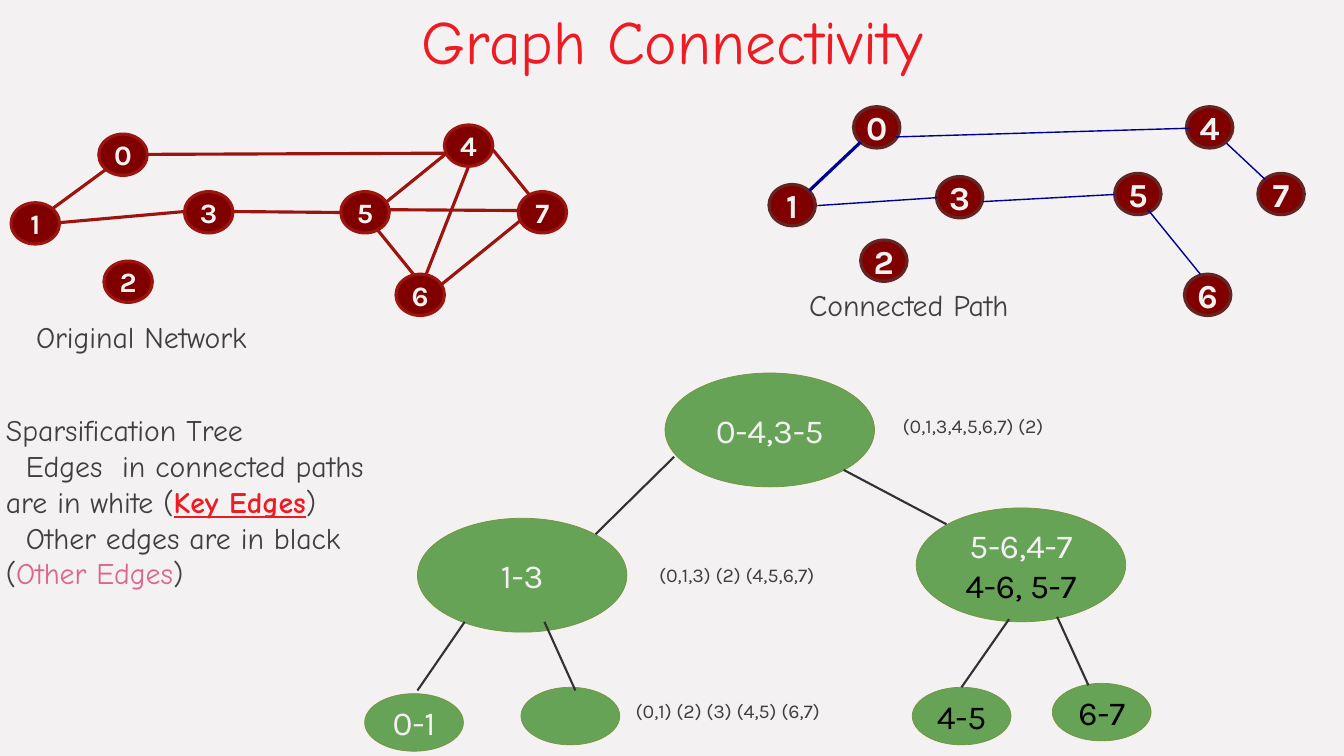
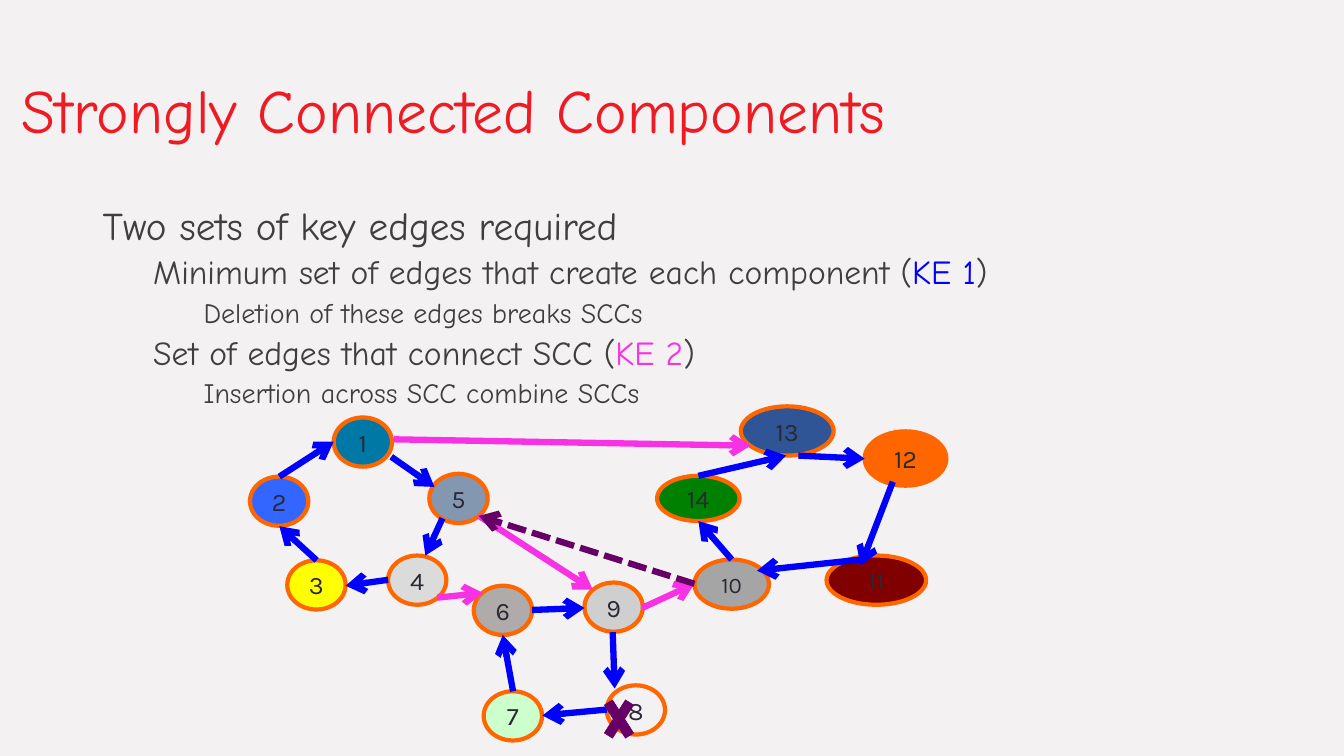
import dataclasses
import typing

import lxml.etree
import pptx
import pptx.dml.color
import pptx.enum.dml
import pptx.enum.shapes
import pptx.enum.text
import pptx.oxml.ns
import pptx.util

Cm = pptx.util.Cm
Pt = pptx.util.Pt
RGB = pptx.dml.color.RGBColor
Kind = pptx.enum.shapes.MSO_SHAPE
Align = pptx.enum.text.PP_ALIGN
Anchor = pptx.enum.text.MSO_ANCHOR
Dash = pptx.enum.dml.MSO_LINE

PAPER = RGB(0xF3, 0xF1, 0xF1)
RED = RGB(0xED, 0x1C, 0x24)
GRAY = RGB(0x3F, 0x3F, 0x3F)
ROSE = RGB(0xDB, 0x65, 0x8D)
MAROON = RGB(0x80, 0x00, 0x00)
BROWN = RGB(0x63, 0x25, 0x23)
BRICK = RGB(0x9B, 0x14, 0x0D)
NAVY = RGB(0x00, 0x00, 0x90)
GREEN = RGB(0x66, 0xA3, 0x56)
OLIVE = RGB(0x77, 0x93, 0x3C)
COAL = RGB(0x32, 0x32, 0x32)
BLACK = RGB(0x00, 0x00, 0x00)
INK = RGB(0x29, 0x29, 0x34)
BLUE = RGB(0x00, 0x00, 0xFF)
PINK = RGB(0xF7, 0x31, 0xE4)
PURPLE = RGB(0x66, 0x00, 0x66)
ORANGE = RGB(0xFF, 0x66, 0x00)
TEAL = RGB(0x00, 0x78, 0xA5)
AZURE = RGB(0x33, 0x66, 0xFF)
YELLOW = RGB(0xFF, 0xFF, 0x00)
SILVER = RGB(0xDB, 0xDB, 0xDB)
STEEL = RGB(0x84, 0x97, 0xB0)
STONE = RGB(0xAF, 0xAB, 0xAB)
PEARL = RGB(0xCF, 0xCF, 0xCF)
MINT = RGB(0xCC, 0xFF, 0xCC)
DENIM = RGB(0x2F, 0x55, 0x97)
FOREST = RGB(0x00, 0x80, 0x00)
ASH = RGB(0xA5, 0xA5, 0xA5)

HAND = "Comic Neue"
SANS = "Karla"


@dataclasses.dataclass(frozen=True)
class Run:
    text: str
    color: RGB = GRAY
    form: dict[str, typing.Any] = dataclasses.field(default_factory=dict)


@dataclasses.dataclass(frozen=True)
class Para:
    runs: list[Run]
    size: float
    font: str = HAND
    left: float = 0
    first: float = 0
    form: dict[str, typing.Any] = dataclasses.field(default_factory=dict)


@dataclasses.dataclass(frozen=True)
class Box:
    left: float
    top: float
    width: float
    height: float

    def sides(self) -> list[int]:
        return [Cm(side) for side in dataclasses.astuple(self)]


@dataclasses.dataclass(frozen=True)
class Node:
    lines: list[Run]
    box: Box
    fill: RGB | None
    edge: RGB
    weight: float
    size: float = 18


@dataclasses.dataclass(frozen=True)
class Line:
    ends: tuple[float, float, float, float]
    color: RGB
    weight: float
    arrow: bool = False
    dash: typing.Any = None


def apply(item: typing.Any, form: dict[str, typing.Any]) -> None:
    for name, value in form.items():
        setattr(item, name, value)


def write(frame: typing.Any, paras: list[Para]) -> None:
    for spot, para in enumerate(paras):
        line = frame.paragraphs[0] if spot == 0 else frame.add_paragraph()
        apply(line, para.form)
        if para.left or para.first:
            props = line._p.get_or_add_pPr()
            props.set("marL", str(Cm(para.left)))
            props.set("indent", str(Cm(para.first)))
        for part in para.runs:
            run = line.add_run()
            run.text = part.text
            apply(run.font, {"size": Pt(para.size), "name": para.font, **part.form})
            run.font.color.rgb = part.color


def add_text(slide: typing.Any, box: Box, paras: list[Para],
             anchor: typing.Any = Anchor.TOP) -> None:
    frame = slide.shapes.add_textbox(*box.sides()).text_frame
    apply(frame, {"word_wrap": True, "vertical_anchor": anchor})
    write(frame, paras)


def add_title(slide: typing.Any, text: str, box: Box, align: typing.Any) -> None:
    form = {"alignment": align, "line_spacing": 0.9}
    add_text(slide, box, [Para([Run(text, RED)], 44, form=form)], Anchor.MIDDLE)


def add_form(slide: typing.Any, kind: typing.Any, box: Box, fill: RGB | None,
             edge: RGB, weight: float) -> typing.Any:
    shape = slide.shapes.add_shape(kind, *box.sides())
    shape.shadow.inherit = False
    if fill is None:
        shape.fill.background()
    else:
        shape.fill.solid()
        shape.fill.fore_color.rgb = fill
    shape.line.color.rgb = edge
    shape.line.width = Pt(weight)
    return shape


def add_node(slide: typing.Any, node: Node) -> None:
    shape = add_form(slide, Kind.OVAL, node.box, node.fill, node.edge, node.weight)
    frame = shape.text_frame
    apply(frame, {
        "word_wrap": False, "vertical_anchor": Anchor.MIDDLE,
        "margin_left": 0, "margin_right": 0, "margin_top": 0, "margin_bottom": 0,
    })
    form = {"alignment": Align.CENTER}
    write(frame, [Para([run], node.size, SANS, form=form) for run in node.lines])


def add_line(slide: typing.Any, line: Line) -> None:
    wire = slide.shapes.add_connector(
        pptx.enum.shapes.MSO_CONNECTOR.STRAIGHT, *[Cm(end) for end in line.ends])
    wire.line.color.rgb = line.color
    wire.line.width = Pt(line.weight)
    if line.dash is not None:
        wire.line.dash_style = line.dash
    qn = pptx.oxml.ns.qn
    if line.arrow:
        lxml.etree.SubElement(wire.line._get_or_add_ln(), qn("a:tailEnd"), type="arrow")
    lxml.etree.SubElement(wire._element.spPr, qn("a:effectLst"))


def add_graph(slide: typing.Any, spots: list[tuple[float, float]], width: float,
              edge: RGB, size: float) -> None:
    for mark, (left, top) in enumerate(spots):
        label = Run(str(mark), PAPER, {"bold": True})
        add_node(slide, Node([label], Box(left, top, width, 1.04), MAROON, edge, 2.25, size))


def new_slide(deck: typing.Any) -> typing.Any:
    slide = deck.slides.add_slide(deck.slide_layouts[6])
    slide.background.fill.solid()
    slide.background.fill.fore_color.rgb = PAPER
    return slide


def draw_paths(slide: typing.Any) -> None:
    add_title(slide, "Graph Connectivity", Box(1.17, 0, 31.55, 2.26), Align.CENTER)

    add_graph(slide, [
        (21.51, 2.69), (19.38, 4.65), (21.69, 6.05), (23.6, 4.45),
        (29.9, 2.69), (28.09, 4.37), (29.85, 6.91), (31.7, 4.37),
    ], 1.17, BROWN, 24)
    add_line(slide, Line((21.69, 3.58, 20.4, 4.8), NAVY, 2.25))
    for ends in [
        (22.58, 3.45, 30, 3.23), (20.6, 5.18, 23.62, 4.98), (24.77, 5.08, 28.09, 4.9),
        (28.91, 5.26, 30.25, 6.91), (30.91, 3.61, 31.88, 4.52),
    ]:
        add_line(slide, Line(ends, NAVY, 1))

    ring = add_form(slide, Kind.RECTANGLE, Box(9.65, 4.09, 3.53, 2.49), None, BRICK, 2.25)
    ring.rotation = 321
    for ends in [
        (9.19, 5.28, 13.67, 5.31), (5.87, 5.33, 9.19, 5.36), (11.81, 4.19, 10.74, 6.91),
        (3.71, 3.89, 11.2, 3.86), (2.67, 4.27, 1.32, 5.26), (1.5, 5.61, 4.65, 5.33),
    ]:
        add_line(slide, Line(ends, BRICK, 2.25))
    add_graph(slide, [
        (2.49, 3.38), (0.28, 5.11), (2.62, 6.58), (4.65, 4.83),
        (11.2, 3.15), (8.59, 4.83), (9.98, 6.91), (13.06, 4.83),
    ], 1.22, BRICK, 20)

    big, small = (5.28, 2.87), (2.49, 1.45)
    for runs, left, top, size in [
        ([Run("0-4,3-5", PAPER)], 16.76, 9.4, big),
        ([Run("1-3", PAPER)], 10.52, 13.06, big),
        ([Run("5-6,4-7", PAPER), Run("4-6, 5-7", BLACK)], 23.09, 12.8, big),
        ([Run("0-1", PAPER)], 9.19, 17.48, small),
        ([], 13.13, 17.32, small),
        ([Run("4-5", BLACK)], 22.99, 17.32, small),
        ([Run("6-7", BLACK)], 26.52, 17.22, small),
    ]:
        add_node(slide, Node(runs, Box(left, top, *size), GREEN, OLIVE, 0.5, 24))
    for ends in [
        (16.99, 11.51, 15.01, 13.46), (21.26, 11.84, 23.85, 13.21),
        (11.71, 15.67, 10.52, 17.4), (13.72, 15.67, 14.5, 17.4),
        (25.43, 15.6, 24.23, 17.32), (26.64, 15.54, 27.43, 17.27),
    ]:
        add_line(slide, Line(ends, COAL, 1.5))

    for text, left, top in [("Original Network", 0.66, 7.9), ("Connected Path", 20.14, 7.09)]:
        add_text(slide, Box(left, top, 8.94, 1.17), [Para([Run(text)], 21.3)])
    for text, left, top in [
        ("(0,1,3,4,5,6,7) (2)", 22.5, 10.31),
        ("(0,1,3) (2) (4,5,6,7)", 16.36, 14.05),
        ("(0,1) (2) (3) (4,5) (6,7)", 15.77, 17.48),
    ]:
        add_text(slide, Box(left, top, 7.2, 0.86), [Para([Run(text)], 14, SANS)])
    key = Run("Key Edges", RED, {"bold": True, "underline": True})
    add_text(slide, Box(-0.1, 10.26, 10.46, 4.83), [
        Para([Run("Sparsification Tree")], 21.3),
        Para([Run("Edges  in connected paths are in white ("), key, Run(")")], 21.3, first=0.5),
        Para([Run("Other edges are in black ("), Run("Other Edges", ROSE), Run(")")],
             21.3, first=0.5),
    ])


def draw_parts(slide: typing.Any) -> None:
    add_title(slide, "Strongly Connected Components", Box(0.3, 1.02, 31.24, 3.68), Align.LEFT)
    tight = {"line_spacing": 0.9}
    loose = {**tight, "space_before": Pt(5)}
    paras = [Para([Run("Two sets of key edges required")], 28, form=tight)]
    for lead, key, color, note in [
        ("Minimum set of edges that create each component (", "KE 1", BLUE,
         "Deletion of these edges breaks SCCs"),
        ("Set of edges that connect SCC (", "KE 2", PINK, "Insertion across SCC combine SCCs"),
    ]:
        paras.append(Para([Run(lead), Run(key, color), Run(")")], 24, left=1.27, form=loose))
        paras.append(Para([Run(note)], 20, left=2.54, form=loose))
    add_text(slide, Box(2.34, 5.08, 29.21, 12.09), paras)

    disc = (1.47, 1.24)
    for mark, left, top, size, fill in [
        (1, 8.41, 10.52, disc, TEAL), (2, 6.3, 12.01, disc, AZURE),
        (3, 7.24, 14.12, disc, YELLOW), (4, 9.78, 14, disc, SILVER),
        (5, 10.82, 11.94, disc, STEEL), (6, 11.94, 14.76, disc, STONE),
        (7, 12.19, 17.42, disc, MINT), (8, 15.29, 17.27, disc, None),
        (9, 14.73, 14.68, disc, PEARL), (10, 17.5, 14.1, (1.88, 1.24), ASH),
        (11, 20.83, 14, (2.51, 1.24), MAROON), (12, 21.79, 10.87, (2.06, 1.37), ORANGE),
        (13, 18.67, 10.24, (2.34, 1.24), DENIM), (14, 16.56, 11.99, (2.08, 1.14), FOREST),
    ]:
        points = 16 if mark == 10 else 18
        add_node(slide, Node([Run(str(mark), INK)], Box(left, top, *size), fill,
                             ORANGE, 3, points))

    inner = [
        (9.86, 11.51, 10.95, 12.27), (11.15, 13.06, 10.72, 14), (9.78, 14.61, 8.71, 14.76),
        (7.98, 14.12, 7.04, 13.26), (7.04, 12.01, 8.41, 11.13),
        (13.41, 15.37, 14.73, 15.32), (15.44, 15.93, 15.49, 17.35),
        (15.29, 17.88, 13.67, 18.03), (12.93, 17.42, 12.67, 16),
        (20.12, 11.48, 21.79, 11.56), (22.5, 12.14, 21.69, 14.25),
        (21.69, 14.1, 19.08, 14.38), (18.44, 14.1, 17.6, 13.13), (17.6, 11.99, 19.81, 11.48),
    ]
    outer = [
        (12.07, 13, 14.94, 14.86), (11.02, 15.06, 12.17, 14.94),
        (16.18, 15.32, 17.5, 14.71), (9.93, 11.07, 18.92, 11.23),
    ]
    for color, group in [(BLUE, inner), (PINK, outer)]:
        for ends in group:
            add_line(slide, Line(ends, color, 4.5, True))
    add_line(slide, Line((17.5, 14.71, 12.07, 13), PURPLE, 4.5, True, Dash.SQUARE_DOT))
    add_form(slide, Kind.MATH_MULTIPLY, Box(15.09, 17.32, 1.02, 1.6), PURPLE, PURPLE, 0.5)


def main() -> None:
    deck = pptx.Presentation()
    apply(deck, {"slide_width": Cm(33.87), "slide_height": Cm(19.05)})
    for draw in (draw_paths, draw_parts):
        draw(new_slide(deck))
    deck.save("out.pptx")


if __name__ == "__main__":
    main()
